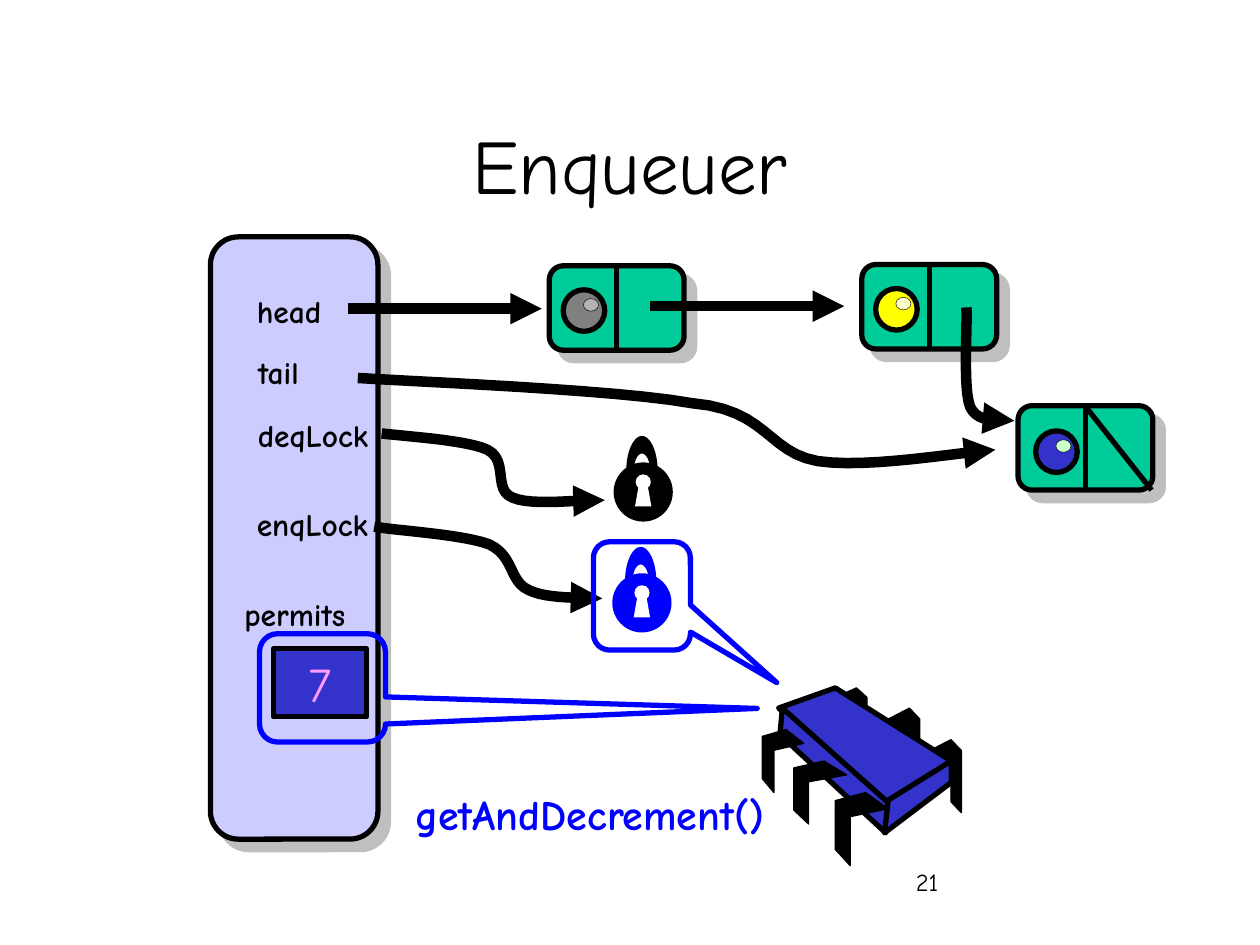
import lxml.etree
import pptx
import pptx.dml.color
import pptx.enum.shapes
import pptx.enum.text
import pptx.oxml.ns
import pptx.util

RGB = pptx.dml.color.RGBColor
SHAPE = pptx.enum.shapes.MSO_SHAPE
ALIGN = pptx.enum.text.PP_ALIGN
ANCHOR = pptx.enum.text.MSO_ANCHOR
qn = pptx.oxml.ns.qn

BLACK = RGB(0x00, 0x00, 0x00)
WHITE = RGB(0xFF, 0xFF, 0xFF)
BLUE = RGB(0x00, 0x00, 0xFF)
INDIGO = RGB(0x33, 0x33, 0xCC)
LAVENDER = RGB(0xCC, 0xCC, 0xFF)
GREEN = RGB(0x00, 0xCC, 0x99)
PALE_GREEN = RGB(0xCC, 0xFF, 0xCC)
YELLOW = RGB(0xFF, 0xFF, 0x00)
PALE_YELLOW = RGB(0xFF, 0xFF, 0xCC)
GRAY = RGB(0x80, 0x80, 0x80)
PALE_GRAY = RGB(0xB2, 0xB2, 0xB2)
PINK = RGB(0xFF, 0x99, 0xFF)

COLUMNS, ROWS = 100, 75
CELL = pptx.util.Inches(0.1)
FONT = "Comic Neue"
OUTLINE, ARROW = 3, 6

# Leg outlines as shares of the leg's width and height
BACK_LEG = [(0, 0.15), (0.67, 0), (1, 0.15), (1, 1), (0.67, 0.85), (0.67, 0.29), (0, 0.43)]
FRONT_LEG = [(0.57, 0), (1, 0.22), (0.28, 0.33), (0.28, 1), (0, 0.78), (0, 0.11)]


def grid(*cells):
    return [round(cell * CELL) for cell in cells]


def apply(target, values):
    for name, value in values.items():
        setattr(target, name, value)


def paint(shape, fill=None, line=None, width=OUTLINE):
    shape.shadow.inherit = False
    for part, color in ((shape.fill, fill), (shape.line.fill, line)):
        if color is None:
            part.background()
        else:
            part.solid()
            part.fore_color.rgb = color
    if line is not None:
        shape.line.width = pptx.util.Pt(width)
    return shape


def add_form(page, kind, place, **colors):
    return paint(page.shapes.add_shape(kind, *grid(*place)), **colors)


def add_outline(page, points, closed=True, **colors):
    corners = [grid(*point) for point in points]
    builder = page.shapes.build_freeform(*corners[0])
    builder.add_line_segments(corners[1:], close=closed)
    return paint(builder.convert_to_shape(), **colors)


def curve_points(start, *curves, steps=12):
    """Points along joined cubic curves, each given as (control, control, end)."""
    points = [start]
    for curve in curves:
        knots = (points[-1], *curve)
        for step in range(1, steps + 1):
            t = step / steps
            weights = ((1 - t) ** 3, 3 * t * (1 - t) ** 2, 3 * t * t * (1 - t), t ** 3)
            points.append(tuple(sum(w * knot[axis] for w, knot in zip(weights, knots))
                                for axis in (0, 1)))
    return points


def add_line(page, start, end, width=OUTLINE):
    line = page.shapes.add_connector(pptx.enum.shapes.MSO_CONNECTOR.STRAIGHT,
                                     *grid(*start, *end))
    line.line.color.rgb = BLACK
    line.line.width = pptx.util.Pt(width)
    lxml.etree.SubElement(line.element.spPr, qn("a:effectLst"))
    return line


def add_arrowhead(shape):
    stroke = shape.element.spPr.find(qn("a:ln"))
    lxml.etree.SubElement(stroke, qn("a:tailEnd"), type="triangle")


def add_arrow(page, start, end):
    add_arrowhead(add_line(page, start, end, ARROW))


def add_curved_arrow(page, start, *curves):
    add_arrowhead(add_outline(page, curve_points(start, *curves), closed=False,
                              line=BLACK, width=ARROW))


def cast_shadow(shape):
    effects = shape.element.spPr.find(qn("a:effectLst"))
    shadow = lxml.etree.SubElement(effects, qn("a:outerShdw"), dir="2700000",
                                   dist=str(pptx.util.Pt(8.5)), algn="ctr", rotWithShape="0")
    color = lxml.etree.SubElement(shadow, qn("a:srgbClr"), val=str(GRAY))
    lxml.etree.SubElement(color, qn("a:alpha"), val="50000")


def write(shape, text, size, color=BLACK, bold=False, align=ALIGN.CENTER,
          anchor=ANCHOR.TOP, wrap=False):
    frame = shape.text_frame
    apply(frame, {"word_wrap": wrap, "vertical_anchor": anchor})
    para = frame.paragraphs[0]
    para.alignment = align
    span = para.add_run()
    span.text = text
    apply(span.font, {"name": FONT, "size": pptx.util.Pt(size), "bold": bold})
    span.font.color.rgb = color


def add_text(page, place, text, size, **options):
    write(page.shapes.add_textbox(*grid(*place)), text, size, **options)


def add_node(page, left, top, bead, spark, bead_offset=(1.1, 1.9)):
    """A list node: value bead in the left half, next field in the right half."""
    width, height = 10.7, 6.7
    body = add_form(page, SHAPE.ROUNDED_RECTANGLE, (left, top, width, height),
                    fill=GREEN, line=BLACK)
    cast_shadow(body)
    middle = left + width / 2
    divider = add_line(page, (middle, top), (middle, top + height))
    divider.begin_connect(body, 0)
    divider.end_connect(body, 2)
    x, y = left + bead_offset[0], top + bead_offset[1]
    add_form(page, SHAPE.OVAL, (x, y, 3.3, 3.3), fill=bead, line=BLACK)
    add_form(page, SHAPE.OVAL, (x + 1.6, y + 0.7, 1.2, 1), fill=spark, line=BLACK, width=0.25)


def add_lock(page, left, top, color):
    def at(*points):
        return [(left + x, top + y) for x, y in points]

    add_form(page, SHAPE.OVAL, (left, top, 4.7, 4.7), fill=color)
    add_form(page, SHAPE.OVAL, (left + 1.75, top + 0.95, 1.2, 1.2), fill=WHITE)
    add_outline(page, at((1.7, 3.5), (2, 1.8), (2.7, 1.8), (3, 3.5)), fill=WHITE)
    inner = curve_points(*at((1.6, 0.7)), at((1.6, -0.1), (1.9, -0.7), (2.25, -0.7)),
                         at((2.6, -0.7), (2.9, -0.1), (2.9, 0.7)))
    outer = curve_points(*at((3.5, 0.7)), at((3.5, -0.9), (2.9, -2.1), (2.25, -2.1)),
                         at((1.6, -2.1), (1, -0.9), (1, 0.7)))
    add_outline(page, inner + outer, fill=color)


def add_legs(page, outline, places):
    for left, top, width, height in places:
        points = [(left + x * width, top + y * height) for x, y in outline]
        add_outline(page, points, fill=BLACK, line=BLACK, width=0.75)


def add_chip(page):
    add_legs(page, BACK_LEG, [(73.8, 58.7, 2.5, 5.8), (70.5, 56.2, 2.5, 5.8),
                              (66.3, 54.6, 2.5, 5)])
    faces = [
        [(66.3, 54.6), (75.5, 60.4), (70.3, 63.9), (61.8, 56.2)],
        [(62.1, 56.2), (70.5, 63.7), (70.3, 66.1), (61.9, 58.3)],
        [(75.5, 60.4), (75.5, 62.1), (70.2, 66.1), (70.5, 63.5)],
    ]
    for face in faces:
        add_outline(page, face, fill=INDIGO, line=BLACK)
    add_legs(page, FRONT_LEG, [(66.3, 62.9, 4.2, 5.8), (63, 60.4, 4.2, 5),
                               (60.5, 57.9, 3.3, 5)])


def add_callout(page, place, tip):
    callout = add_form(page, SHAPE.ROUNDED_RECTANGULAR_CALLOUT, place, line=BLUE)
    for index, share in enumerate(tip):
        callout.adjustments[index] = share


def add_queue(page):
    body = add_form(page, SHAPE.ROUNDED_RECTANGLE, (16.7, 18.8, 13.3, 47.8),
                    fill=LAVENDER, line=BLACK)
    cast_shadow(body)
    fields = [("head", 19.1, 22.7, 7.7), ("tail", 19.1, 27.5, 6), ("deqLock", 19.1, 32.5, 11.5),
              ("enqLock", 19.1, 39.6, 11.4), ("permits", 17.9, 46.7, 11)]
    for name, left, top, width in fields:
        add_text(page, (left, top, width, 4), name, 18, bold=True)
    permits = add_form(page, SHAPE.RECTANGLE, (21.7, 51.5, 7.4, 5.4), fill=INDIGO, line=BLACK)
    write(permits, "7", 28, color=PINK, anchor=ANCHOR.MIDDLE)


def add_pointers(page):
    add_arrow(page, (27.6, 24.5), (43, 24.5))
    add_arrow(page, (51.6, 24.3), (67, 24.3))
    add_curved_arrow(page, (30.3, 34.4), ((31.7, 34.6), (37, 34.9), (38.7, 35.7)),
                     ((40.4, 36.6), (39.1, 38.9), (40.7, 39.5)),
                     ((42.2, 40.2), (46.5, 39.6), (48, 39.7)))
    add_curved_arrow(page, (29.7, 41.8), ((31.2, 42.1), (36.7, 42.4), (38.8, 43.2)),
                     ((40.8, 44.1), (40.4, 46.1), (41.9, 46.8)),
                     ((43.4, 47.6), (46.5, 47.4), (47.8, 47.5)))
    add_curved_arrow(page, (76.7, 24.4), ((76.8, 25.7), (76.4, 30.8), (77, 32.3)),
                     ((77.7, 33.8), (79.8, 33.2), (80.5, 33.4)))
    add_curved_arrow(page, (28.4, 30), ((32.8, 30.3), (48.8, 30.9), (54.9, 32)),
                     ((60.9, 32.5), (60.9, 35.9), (64.9, 36.6)),
                     ((68.9, 37.2), (76.1, 35.9), (79, 35.7)))


def main():
    deck = pptx.Presentation()
    apply(deck, {"slide_width": COLUMNS * CELL, "slide_height": ROWS * CELL})
    page = deck.slides.add_slide(deck.slide_layouts[6])

    add_text(page, (7.5, 6.7, 85, 12.5), "Enqueuer", 44, anchor=ANCHOR.MIDDLE, wrap=True)
    add_text(page, (71.7, 68.3, 20.8, 5), "21", 14, align=ALIGN.LEFT, wrap=True)
    add_queue(page)
    add_node(page, 43.6, 21.1, GRAY, PALE_GRAY)
    add_node(page, 68.4, 21, YELLOW, PALE_YELLOW)
    add_node(page, 80.8, 32.2, INDIGO, PALE_GREEN, bead_offset=(1.4, 2))
    add_line(page, (86.1, 32.2), (91.4, 38.9))
    add_pointers(page)
    add_lock(page, 48.7, 36.7, BLACK)
    add_callout(page, (20.6, 50.3, 10, 8.6), (3.45, 0.19))
    add_text(page, (30.3, 62.1, 33, 5), "getAndDecrement()", 24, color=BLUE, bold=True)
    add_callout(page, (47.1, 43, 7.7, 8.6), (1.39, 0.8))
    add_chip(page)
    add_lock(page, 48.6, 45.5, BLUE)

    deck.save("out.pptx")


if __name__ == "__main__":
    main()
